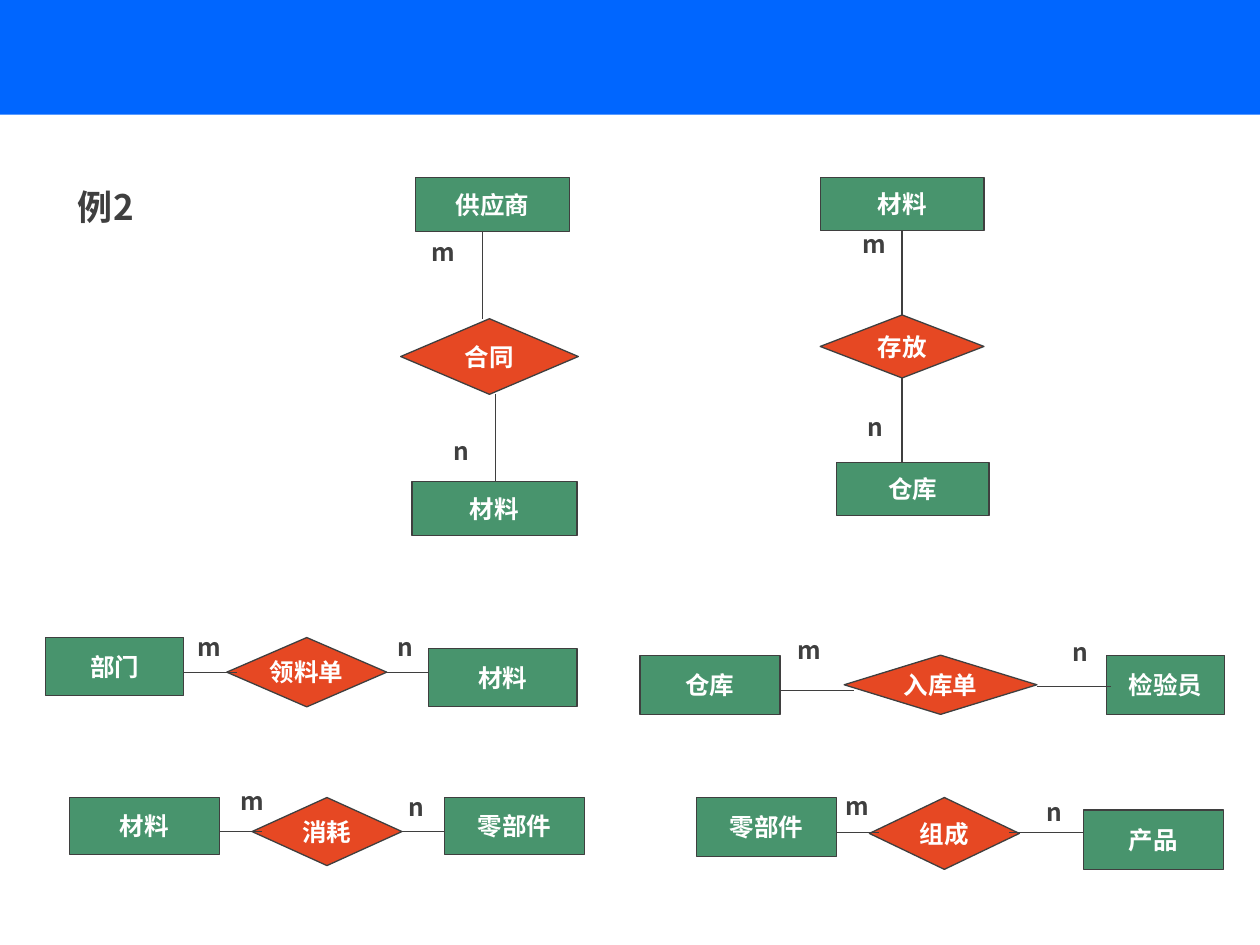
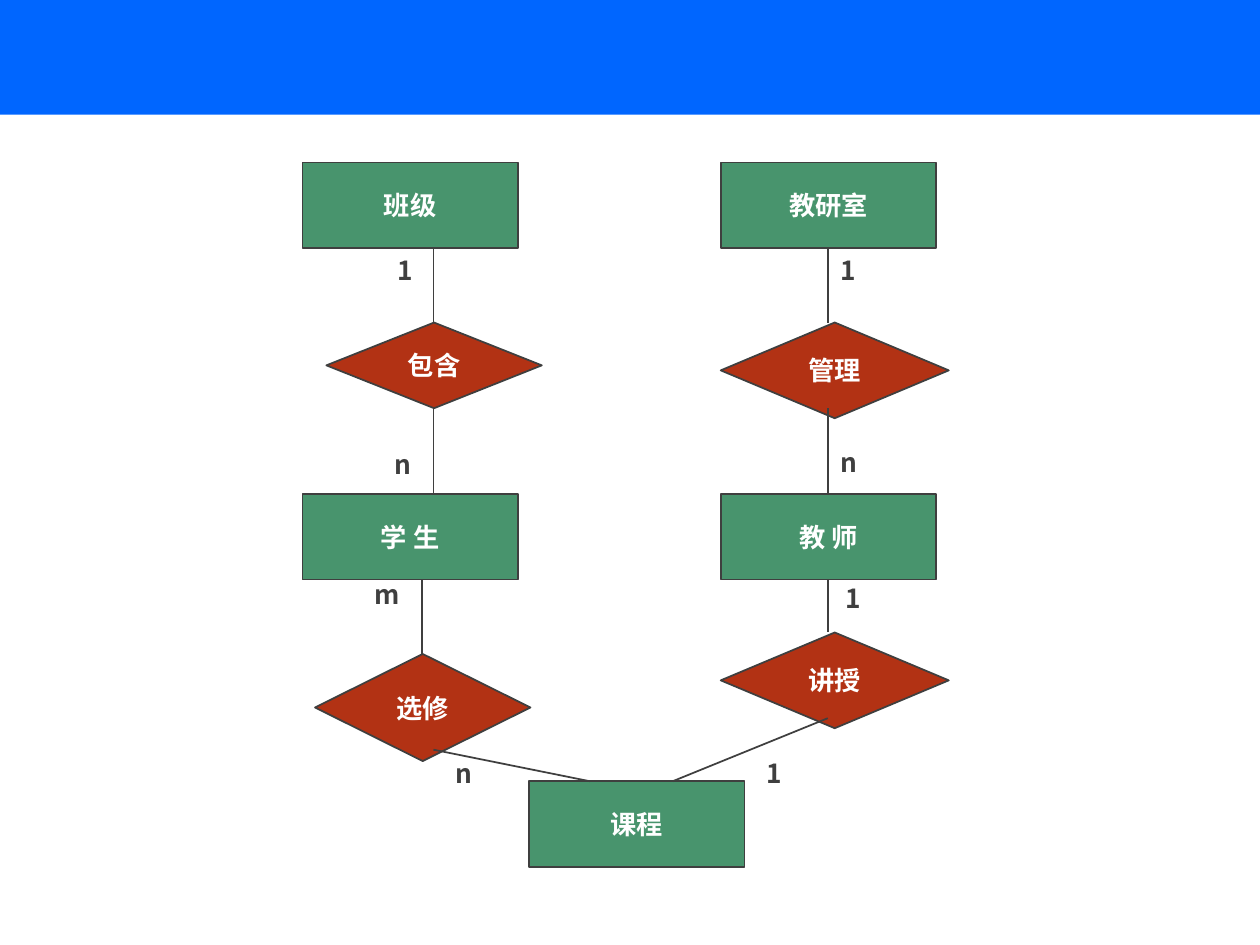
from dataclasses import dataclass
from typing import Any

from lxml.etree import SubElement
from pptx import Presentation
from pptx.dml.color import RGBColor
from pptx.enum.shapes import MSO_CONNECTOR, MSO_SHAPE
from pptx.enum.text import MSO_ANCHOR, PP_ALIGN
from pptx.oxml.ns import qn
from pptx.util import Inches, Pt

FONT = "Noto Sans CJK SC"
BLUE, GREEN, INK, WHITE = "0066FF", "48946D", "3F3F3F", "FFFFFF"
RED, RUST = "E64823", "B23214"
COLS, ROWS = 100, 75
CELL = Inches(0.1)


def rgb(tone):
    return RGBColor.from_string(tone)


def grid(*cells):
    return [round(cell * CELL) for cell in cells]


def write(shape, text, size, tone, align=PP_ALIGN.CENTER, wrap=False):
    frame = shape.text_frame
    frame.word_wrap = wrap
    para = frame.paragraphs[0]
    para.text = text
    para.alignment = align
    font = para.font
    font.size, font.bold, font.name = Pt(size), True, FONT
    font.color.rgb = rgb(tone)
    base = para._p.pPr.find(qn("a:defRPr"))
    SubElement(base, qn("a:ea"), typeface=FONT)


def block(slide, kind, area, tone):
    shape = slide.shapes.add_shape(kind, *grid(*area))
    shape.shadow.inherit = False
    shape.fill.solid()
    shape.fill.fore_color.rgb = rgb(tone)
    shape.line.fill.background()
    return shape


def add_band(layout, slide):
    band = block(slide, MSO_SHAPE.RECTANGLE, (0, 0, COLS, 9.1), BLUE)
    layout.shapes.element.append(band.element)


@dataclass
class Model:
    slide: Any
    size: int
    line: float
    tone: str

    def node(self, kind, text, area, tone):
        shape = block(self.slide, kind, area, tone)
        shape.line.color.rgb = rgb(INK)
        shape.line.width = Pt(self.line)
        shape.text_frame.vertical_anchor = MSO_ANCHOR.MIDDLE
        write(shape, text, self.size, WHITE)
        return area

    def box(self, text, *area):
        return self.node(MSO_SHAPE.RECTANGLE, text, area, GREEN)

    def gem(self, text, *area):
        return self.node(MSO_SHAPE.FLOWCHART_DECISION, text, area, self.tone)

    def wire(self, *ends):
        wire = self.slide.shapes.add_connector(MSO_CONNECTOR.STRAIGHT, *grid(*ends))
        wire.line.color.rgb = rgb(INK)
        wire.line.width = Pt(self.line)
        SubElement(wire._element.spPr, qn("a:effectLst"))

    def down(self, top, low, x, lap=0):
        self.wire(x, top[1] + top[3] - lap, x, low[1])

    def across(self, left, right, y, back=0, lap=0):
        self.wire(left[0] + left[2] - back, y, right[0] + lap, y)

    def mark(self, text, x, y):
        wide = 3.9 if text == "m" else 3.3
        label = self.slide.shapes.add_textbox(*grid(x, y, wide, 3.4))
        write(label, text, self.size, INK)

    def marks(self, *items):
        for item in items:
            self.mark(*item)


def stock(slide):
    model = Model(slide, 14, 0.75, RED)
    box, gem, down, across = model.box, model.gem, model.down, model.across

    maker = box("供应商", 33, 14.1, 12.2, 4.3)
    deal = gem("合同", 31.8, 25.3, 14.1, 6)
    goods = box("材料", 32.7, 38.2, 13.1, 4.3)
    down(maker, deal, 38.3)
    down(deal, goods, 39.3)

    goods = box("材料", 65.1, 14.1, 13, 4.2)
    store = gem("存放", 65.1, 25, 13, 5)
    depot = box("仓库", 66.4, 36.7, 12.1, 4.2)
    down(goods, store, 71.6)
    down(store, depot, 71.6)

    rows = [
        (("部门", 3.6, 50.6, 11, 4.6), ("领料单", 18, 50.6, 12.7, 5.5),
         ("材料", 34, 51.5, 11.8, 4.6), (53.4, 53.4), (0.8, 0, 0)),
        (("材料", 5.5, 63.3, 11.9, 4.5), ("消耗", 20, 63.3, 11.9, 5.4),
         ("零部件", 35.3, 63.3, 11.1, 4.5), (66, 66), (0.8, 0, 0)),
        (("仓库", 50.8, 52, 11.1, 4.7), ("入库单", 67, 52, 15.3, 4.7),
         ("检验员", 87.8, 52, 9.4, 4.7), (54.8, 54.5), (0.8, 0, 0.4)),
        (("零部件", 55.3, 63.3, 11.1, 4.7), ("组成", 69, 63.3, 11.9, 5.7),
         ("产品", 86, 64.3, 11.1, 4.7), (66.1, 66.1), (0.8, 0.8, 0)),
    ]
    for left, mid, right, (first, last), (start, back, end) in rows:
        left, mid, right = box(*left), gem(*mid), box(*right)
        across(left, mid, first, lap=start)
        across(mid, right, last, back, end)

    model.marks(
        ("m", 33.2, 18.3), ("n", 35, 34.1), ("m", 67.4, 17.7), ("n", 67.8, 32.2),
        ("m", 14.7, 49.7), ("n", 30.5, 49.7), ("m", 18.1, 61.9), ("n", 31.4, 62.4),
        ("m", 62.3, 49.9), ("n", 84.1, 50.1), ("m", 66.1, 62.3), ("n", 82, 62.8),
    )
    title = slide.shapes.add_textbox(*grid(5.2, 14.2, 14.1, 4.4))
    write(title, "例2", 20, INK, PP_ALIGN.LEFT, True)


def school(slide):
    model = Model(slide, 15, 1, RUST)
    box, gem, down = model.box, model.gem, model.down
    left, right, size = 24, 57.2, (17.1, 6.8)

    group = box("班级", left, 12.9, *size)
    pupil = box("学 生", left, 39.2, *size)
    staff = box("教研室", right, 12.9, *size)
    tutor = box("教 师", right, 39.2, *size)
    box("课程", 42, 62, *size)

    hold = gem("包含", 25.9, 25.6, *size)
    take = gem("选修", 25, 51.9, 17.1, 8.5)
    lead = gem("管理", right, 25.6, 18.1, 7.6)
    teach = gem("讲授", right, 50.2, 18.1, 7.6)

    down(group, hold, 34.4)
    down(hold, pupil, 34.4)
    down(pupil, take, 33.5)
    down(staff, lead, 65.7)
    down(lead, tutor, 65.7, 0.8)
    down(tutor, teach, 65.7)
    model.wire(34.4, 59.5, 46.8, 62)
    model.wire(65.7, 57, 53.4, 62)

    model.marks(
        ("1", 30.5, 19.7), ("n", 30.3, 35.1), ("m", 28.7, 45.4), ("n", 35.2, 59.6),
        ("1", 65.7, 19.7), ("n", 65.7, 34.9), ("1", 66.1, 45.7), ("1", 59.8, 59.6),
    )


def main():
    deck = Presentation()
    deck.slide_width, deck.slide_height = grid(COLS, ROWS)
    blank = deck.slide_layouts[6]
    first, second = [deck.slides.add_slide(blank) for _ in range(2)]
    add_band(blank, first)
    stock(first)
    school(second)
    deck.save("out.pptx")


if __name__ == "__main__":
    main()
